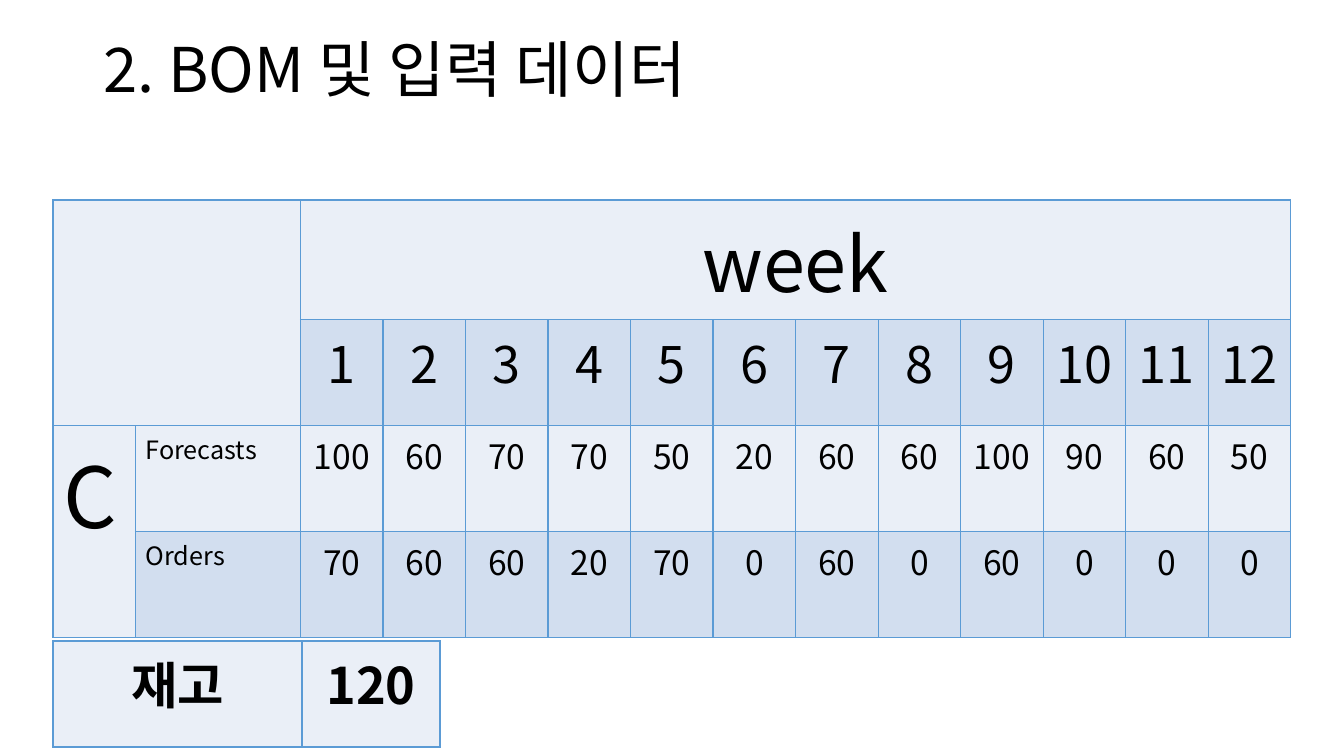
from lxml.etree import SubElement
from pptx import Presentation
from pptx.dml.color import RGBColor
from pptx.enum.text import MSO_ANCHOR as Anchor, MSO_AUTO_SIZE as AutoSize, PP_ALIGN as Align
from pptx.oxml.ns import qn
from pptx.util import Emu, Pt

SCALE = 914400 / 100.8


def px(n):
    return Emu(round(n * SCALE))


def rgb(value):
    return RGBColor.from_string(value)


def write(tf, text, size, font, color, bold=False, align=Align.LEFT, spacing=None):
    p = tf.paragraphs[0]
    p.alignment = align
    p.line_spacing = spacing
    r = p.add_run()
    r.text = text
    r.font.name, r.font.size, r.font.bold = font, Pt(size), bold
    r.font.color.rgb = rgb(color)
    SubElement(r.font._element, qn("a:ea"), typeface=font)


class Deck:
    """Holds the slide style and draws elements on the current slide."""

    font = "Noto Sans CJK KR"
    ink = "000000"
    line = "5B9BD5"
    bands = ("EAEFF7", "D2DEEF")

    def __init__(self, prs):
        self.slide = prs.slides.add_slide(prs.slide_layouts[5])

    def title(self, text, x, y, w, h, size):
        sp = self.slide.shapes.title
        sp.left, sp.top, sp.width, sp.height = map(px, (x, y, w, h))
        tf = sp.text_frame
        tf.word_wrap = True
        tf.auto_size = AutoSize.NONE
        tf.vertical_anchor = Anchor.MIDDLE
        write(tf, text, size, self.font, self.ink, spacing=0.9)

    def border(self, cell):
        tc_pr = cell._tc.get_or_add_tcPr()
        for side in ("lnL", "lnR", "lnT", "lnB"):
            ln = SubElement(tc_pr, qn(f"a:{side}"), w=str(Pt(1)))
            fill = SubElement(ln, qn("a:solidFill"))
            SubElement(fill, qn("a:srgbClr"), val=self.line)

    def table(self, x, y, widths, heights):
        frame = self.slide.shapes.add_table(
            len(heights), len(widths), px(x), px(y), px(sum(widths)), px(sum(heights)))
        table = frame.table
        for col, w in zip(table.columns, widths):
            col.width = px(w)
        for i, (row, h) in enumerate(zip(table.rows, heights)):
            row.height = px(h)
            for cell in row.cells:
                self.border(cell)
                cell.fill.solid()
                cell.fill.fore_color.rgb = rgb(self.bands[i % 2])
        return table

    def cell(self, table, row, col, text, size, align=Align.CENTER, bold=False):
        write(table.cell(row, col).text_frame, str(text), size,
              self.font, self.ink, bold, align)

    def cells(self, table, row, col, values, size, **fmt):
        for i, value in enumerate(values):
            self.cell(table, row, col + i, value, size, **fmt)


prs = Presentation()
prs.slide_width, prs.slide_height = px(1344), px(756)
deck = Deck(prs)

UNIT, ROW, LEFT = 1238 / 15, 106, 53
demand = {
    "Forecasts": (100, 60, 70, 70, 50, 20, 60, 60, 100, 90, 60, 50),
    "Orders": (70, 60, 60, 20, 70, 0, 60, 0, 60, 0, 0, 0),
}
weekly = deck.table(LEFT, 200, [UNIT, 2 * UNIT] + [UNIT] * 12, [ROW] * 4)
for first, last in (((0, 0), (1, 1)), ((0, 2), (0, 13)), ((2, 0), (3, 0))):
    weekly.cell(*first).merge(weekly.cell(*last))
deck.cell(weekly, 0, 2, "week", 54)
deck.cells(weekly, 1, 2, range(1, 13), 36)
deck.cell(weekly, 2, 0, "C", 60, align=Align.LEFT)
for row, (label, values) in enumerate(demand.items(), 2):
    deck.cell(weekly, row, 1, label, 18, align=Align.LEFT)
    deck.cells(weekly, row, 2, values, 24)

stock = deck.table(LEFT, 641, [249, 138], [ROW])
deck.cells(stock, 0, 0, ("재고", 120), 36, bold=True)

deck.title("2. BOM 및 입력 데이터", 93, 0, 1159, 146, 44)
prs.save("out.pptx")
